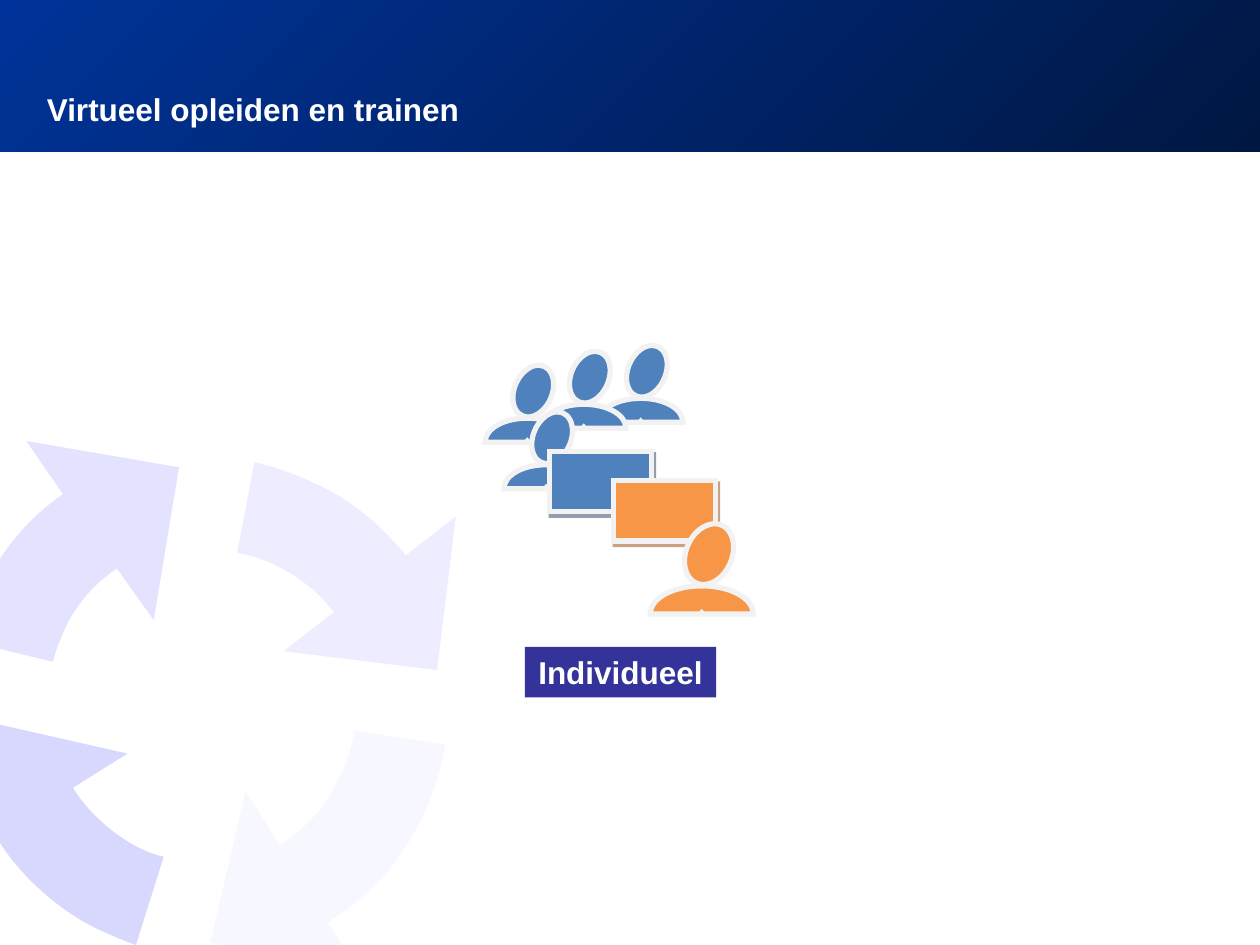
"""Build the slide on virtual education and training."""
import math
from dataclasses import dataclass

import lxml.etree
import pptx
import pptx.dml.color
import pptx.enum.shapes
import pptx.enum.text
import pptx.oxml.ns
import pptx.util
from pptx.util import Cm

RGBColor = pptx.dml.color.RGBColor
MSO_SHAPE = pptx.enum.shapes.MSO_SHAPE
PP_ALIGN = pptx.enum.text.PP_ALIGN
qn = pptx.oxml.ns.qn
Point = tuple[float, float]

BAND_LIGHT = RGBColor(0x00, 0x33, 0x99)
BAND_DARK = RGBColor(0x00, 0x17, 0x42)
LAVENDER = RGBColor(0xCC, 0xCC, 0xFF)
INDIGO = RGBColor(0x33, 0x33, 0x99)
BLUE = RGBColor(0x4F, 0x81, 0xBD)
BLUE_SHADE = RGBColor(0x24, 0x3F, 0x60)
ORANGE = RGBColor(0xF7, 0x96, 0x46)
ORANGE_SHADE = RGBColor(0x97, 0x47, 0x06)
OUTLINE = RGBColor(0xF2, 0xF2, 0xF2)
WHITE = RGBColor(0xFF, 0xFF, 0xFF)


@dataclass(frozen=True)
class Frame:
    left: float
    top: float
    width: float
    height: float
    rotation: float = 0

    def local(self, point: Point) -> Point:
        """Turn a slide position into one inside the unrotated frame."""
        angle = math.radians(-self.rotation)
        x = point[0] - self.left - self.width / 2
        y = point[1] - self.top - self.height / 2
        return (x * math.cos(angle) - y * math.sin(angle) + self.width / 2,
                x * math.sin(angle) + y * math.cos(angle) + self.height / 2)


@dataclass(frozen=True)
class CycleArrow:
    frame: Frame
    opacity: int
    inner: list[Point]
    outer: list[Point]
    head: list[Point]


@dataclass(frozen=True)
class Person:
    left: float
    shoulder: float
    color: RGBColor = BLUE
    x_scale: float = 1
    y_scale: float = 1


@dataclass(frozen=True)
class Screen:
    left: float
    top: float
    color: RGBColor
    shade: RGBColor


ARROWS = [
    CycleArrow(Frame(-0.86, 8.99, 10.31, 10.29, 210), 75,
               [(1.47, 15.88), (1.75, 16.33), (2.16, 16.71), (2.62, 16.99),
                (2.84, 17.12), (3.07, 17.22), (3.3, 17.27)],
               [(2.74, 19.05), (2.39, 18.92), (2.03, 18.77), (1.7, 18.59),
                (0.97, 18.16), (0.36, 17.58), (-0.08, 16.87)],
               [(-1.17, 17.53), (-0.48, 14.5), (2.57, 15.19)]),
    CycleArrow(Frame(-0.86, 8.99, 10.29, 10.31, 296.5), 55,
               [(2.36, 11.46), (1.9, 11.76), (1.55, 12.17), (1.32, 12.65),
                (1.22, 12.88), (1.12, 13.11), (1.07, 13.34)],
               [(-0.74, 12.9), (-0.64, 12.52), (-0.51, 12.17), (-0.33, 11.84),
                (0.05, 11.07), (0.58, 10.44), (1.27, 9.96)],
               [(0.53, 8.89), (3.61, 9.42), (3.1, 12.5)]),
    CycleArrow(Frame(-1.02, 9.25, 10.31, 10.29, 23.8), 35,
               [(6.73, 12.34), (6.4, 11.91), (5.97, 11.58), (5.46, 11.35),
                (5.23, 11.25), (5, 11.18), (4.78, 11.15)],
               [(5.13, 9.32), (5.49, 9.4), (5.87, 9.53), (6.2, 9.68),
                (6.99, 10.01), (7.65, 10.54), (8.18, 11.2)],
               [(9.19, 10.41), (8.81, 13.51), (5.72, 13.13)]),
    CycleArrow(Frame(-1.27, 9.09, 10.29, 10.31, 120), 15,
               [(5.64, 17.04), (6.1, 16.74), (6.48, 16.36), (6.73, 15.88),
                (6.93, 15.52), (7.09, 15.14), (7.14, 14.73)],
               [(8.97, 15.01), (8.86, 15.65), (8.66, 16.26), (8.33, 16.81),
                (7.92, 17.55), (7.32, 18.16), (6.6, 18.59)],
               [(7.29, 19.69), (4.24, 19), (4.95, 15.95)]),
]
CLASSMATES = [Person(12.07, 8.03), Person(10.92, 8.15),
              Person(9.78, 8.43), Person(10.16, 9.37)]
LEARNER = Person(13.11, 11.81, ORANGE, 1.22, 1.17)
SCREENS = [Screen(11.08, 9.1, BLUE, BLUE_SHADE),
           Screen(12.37, 9.69, ORANGE, ORANGE_SHADE)]
SHOULDERS = [[(0.49, 0.5)], [(0.49, 0.49), (0.5, 0.48), (0.5, 0.48)],
             [(0.51, 0.48), (0.51, 0.49), (0.51, 0.5)], [(1, 0.5)],
             [(1, 0.22), (0.78, 0), (0.5, 0)], [(0.22, 0), (0, 0.22), (0, 0.5)]]


def paint(shape, color: RGBColor, outlined: bool = False) -> None:
    """Give a shape a flat fill and an optional pale mitred outline."""
    shape.shadow.inherit = False
    shape.fill.solid()
    shape.fill.fore_color.rgb = color
    if outlined:
        shape.line.color.rgb = OUTLINE
        shape.line.width = pptx.util.Pt(3)
        line = shape.element.spPr.find(qn("a:ln"))
        lxml.etree.SubElement(line, qn("a:miter"), lim="800000")
    else:
        shape.line.fill.background()


def add_box(shapes, kind, left: float, top: float, width: float, height: float):
    """Add a preset shape measured in centimetres."""
    return shapes.add_shape(kind, Cm(left), Cm(top), Cm(width), Cm(height))


def add_curved(shapes, frame: Frame, segments: list[list[Point]]):
    """Add a closed freeform; one point is a line, three are a curve."""
    builder = shapes.build_freeform(0, 0)
    width, height = Cm(frame.width), Cm(frame.height)
    builder.add_line_segments([(width, height)])
    shape = builder.convert_to_shape(Cm(frame.left), Cm(frame.top))
    shape.rotation = frame.rotation
    contour = next(shape.element.spPr.iter(qn("a:path")))
    for step in list(contour):
        contour.remove(step)
    for index, segment in enumerate(segments):
        tag = "a:moveTo" if index == 0 else "a:lnTo" if len(segment) == 1 else "a:cubicBezTo"
        step = lxml.etree.SubElement(contour, qn(tag))
        for x, y in map(frame.local, segment):
            lxml.etree.SubElement(step, qn("a:pt"), x=str(int(Cm(x))), y=str(int(Cm(y))))
    lxml.etree.SubElement(contour, qn("a:close"))
    return shape


def add_alpha(color_element, percent: int) -> None:
    """Set the opacity of a colour element."""
    lxml.etree.SubElement(color_element, qn("a:alpha"), val=str(percent * 1000))


def draw_arrow(shapes, arrow: CycleArrow) -> None:
    """Draw one translucent arrow of the cycle."""
    segments = [part for arc in (arrow.inner, arrow.outer)
                for part in (arc[:1], arc[1:4], arc[4:])]
    shape = add_curved(shapes, arrow.frame, segments + [[point] for point in arrow.head])
    paint(shape, LAVENDER)
    add_alpha(shape.element.spPr.find(f"{qn('a:solidFill')}/{qn('a:srgbClr')}"), arrow.opacity)


def draw_person(shapes, person: Person) -> None:
    """Draw a tilted head above rounded shoulders."""
    sx, sy = person.x_scale, person.y_scale
    head = add_box(shapes, MSO_SHAPE.OVAL, person.left + 0.59 * sx,
                   person.shoulder - 1.09 * sy, 0.76 * sx, 1.09 * sy)
    head.rotation = 23.6
    paint(head, person.color, outlined=True)
    frame = Frame(person.left, person.shoulder, 1.7 * sx, 0.97 * sy)
    body = add_curved(shapes, frame, [
        [(frame.left + x * frame.width, frame.top + y * frame.height) for x, y in segment]
        for segment in SHOULDERS])
    paint(body, person.color, outlined=True)


def draw_screen(shapes, screen: Screen) -> None:
    """Draw a screen with a hard offset shadow."""
    shape = add_box(shapes, MSO_SHAPE.RECTANGLE, screen.left, screen.top, 2.06, 1.22)
    paint(shape, screen.color, outlined=True)
    shadow = lxml.etree.SubElement(
        shape.element.spPr.find(qn("a:effectLst")), qn("a:outerShdw"), blurRad="0",
        dist=str(int(pptx.util.Pt(2.2))), dir=str(63 * 60000), algn="ctr", rotWithShape="0")
    add_alpha(lxml.etree.SubElement(shadow, qn("a:srgbClr"), val=str(screen.shade)), 50)


def write(frame, text: str, align) -> None:
    """Write one bold white line."""
    frame.text = text
    paragraph = frame.paragraphs[0]
    paragraph.alignment = align
    font = paragraph.font
    font.name, font.size, font.bold = "Arial", pptx.util.Pt(18), True
    font.color.rgb = WHITE


def main() -> None:
    """Compose and save the slide."""
    deck = pptx.Presentation()
    deck.slide_width, deck.slide_height = Cm(25.4), Cm(19.05)
    shapes = deck.slides.add_slide(deck.slide_layouts[5]).shapes

    band = add_box(shapes, MSO_SHAPE.RECTANGLE, 0, 0, 25.4, 3.06)
    paint(band, BAND_LIGHT)
    band.fill.gradient()
    band.fill.gradient_angle = 315
    for stop, color in zip(band.fill.gradient_stops, (BAND_LIGHT, BAND_DARK)):
        stop.color.rgb = color
    for arrow in ARROWS:
        draw_arrow(shapes, arrow)

    title = shapes.title
    title.left, title.top, title.width, title.height = Cm(0.69), Cm(0.93), Cm(18.19), Cm(1.8)
    write(title.text_frame, "Virtueel opleiden en trainen", PP_ALIGN.LEFT)
    title.text_frame.paragraphs[0].line_spacing = 2.0
    title.text_frame.vertical_anchor = pptx.enum.text.MSO_ANCHOR.TOP
    title.text_frame.auto_size = pptx.enum.text.MSO_AUTO_SIZE.NONE
    title.element.getparent().append(title.element)

    label = add_box(shapes, MSO_SHAPE.RECTANGLE, 10.58, 13.04, 3.86, 1.02)
    paint(label, INDIGO)
    write(label.text_frame, "Individueel", PP_ALIGN.CENTER)
    label.text_frame.word_wrap = False

    for person in CLASSMATES:
        draw_person(shapes, person)
    for screen in SCREENS:
        draw_screen(shapes, screen)
    draw_person(shapes, LEARNER)
    deck.save("out.pptx")


if __name__ == "__main__":
    main()
